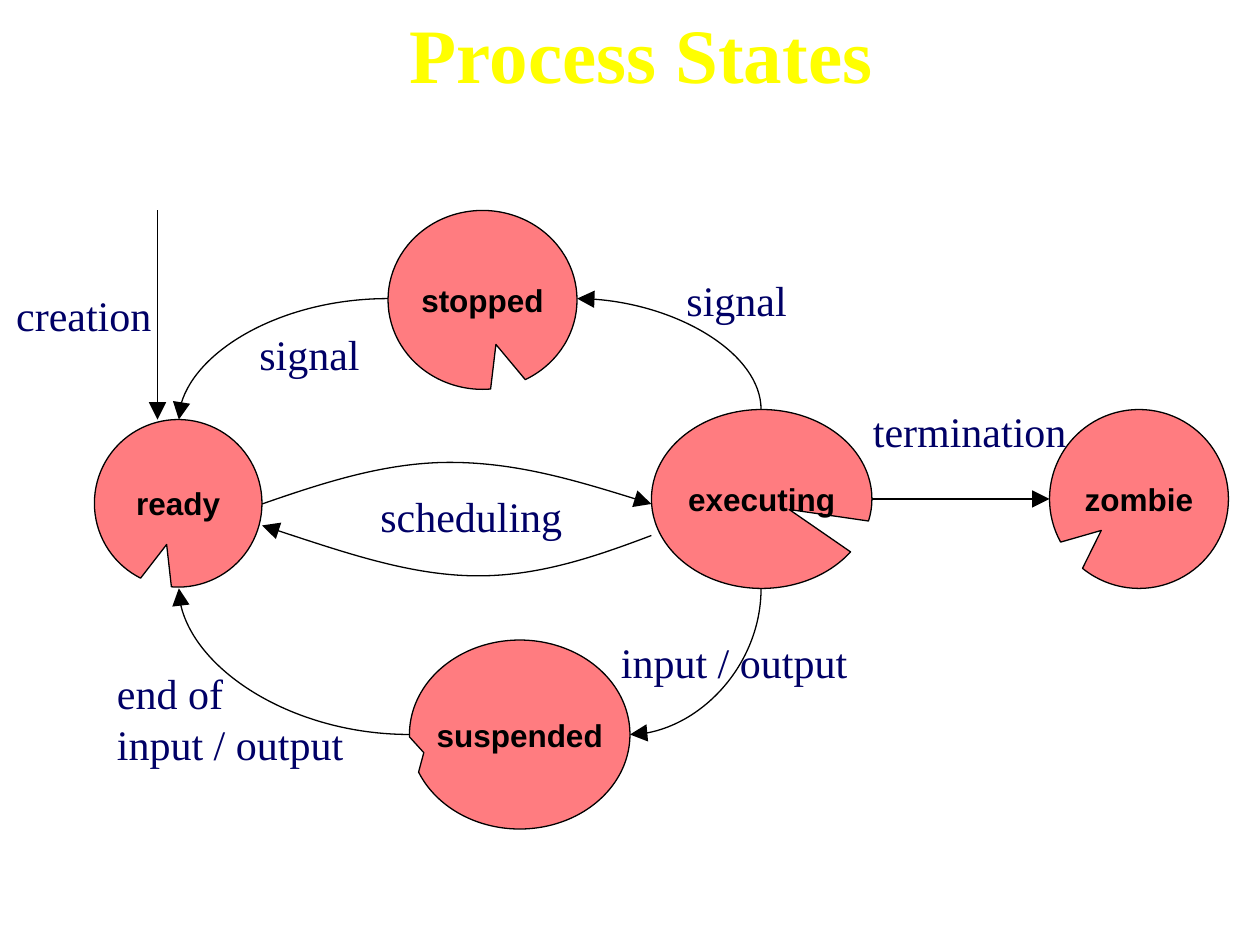
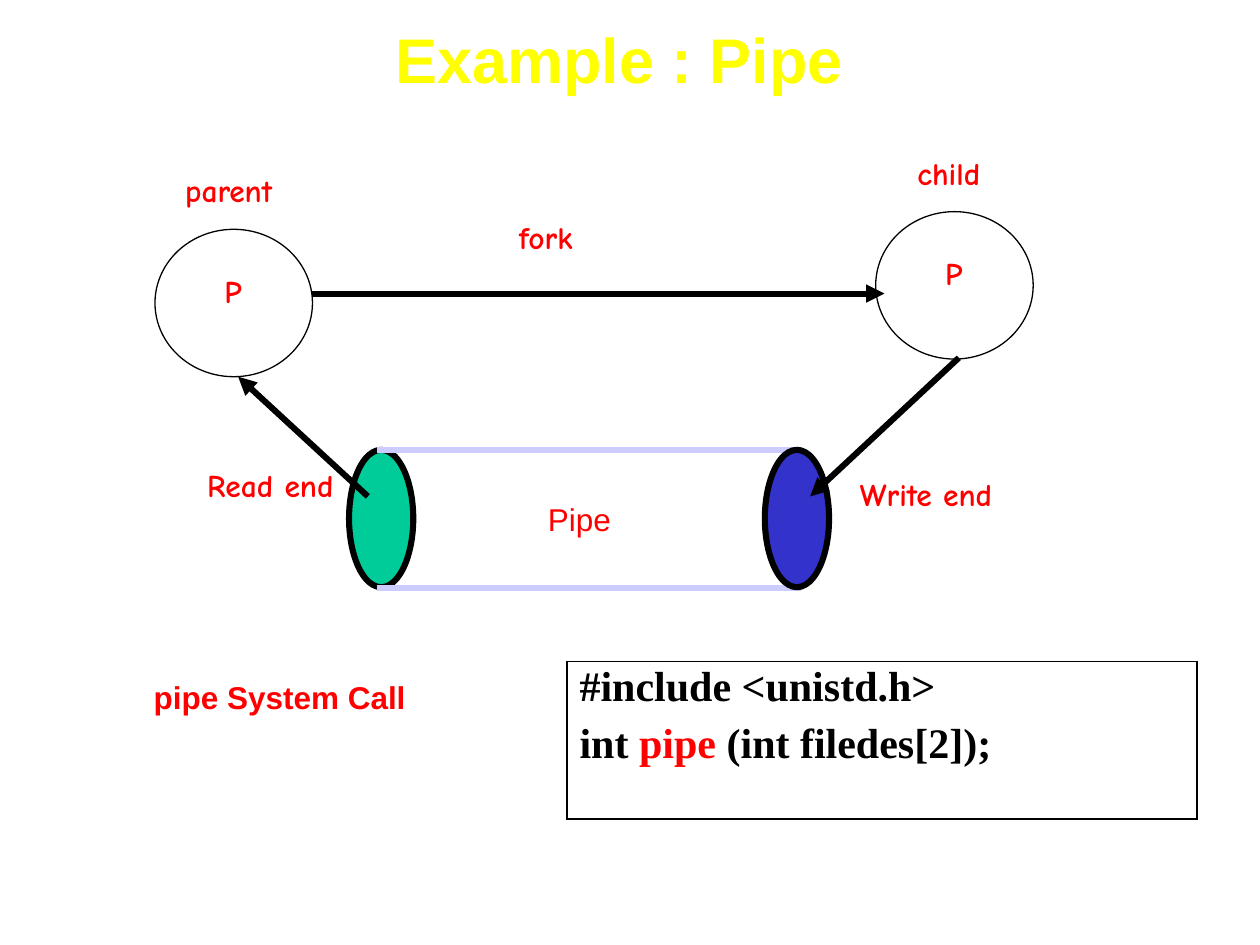
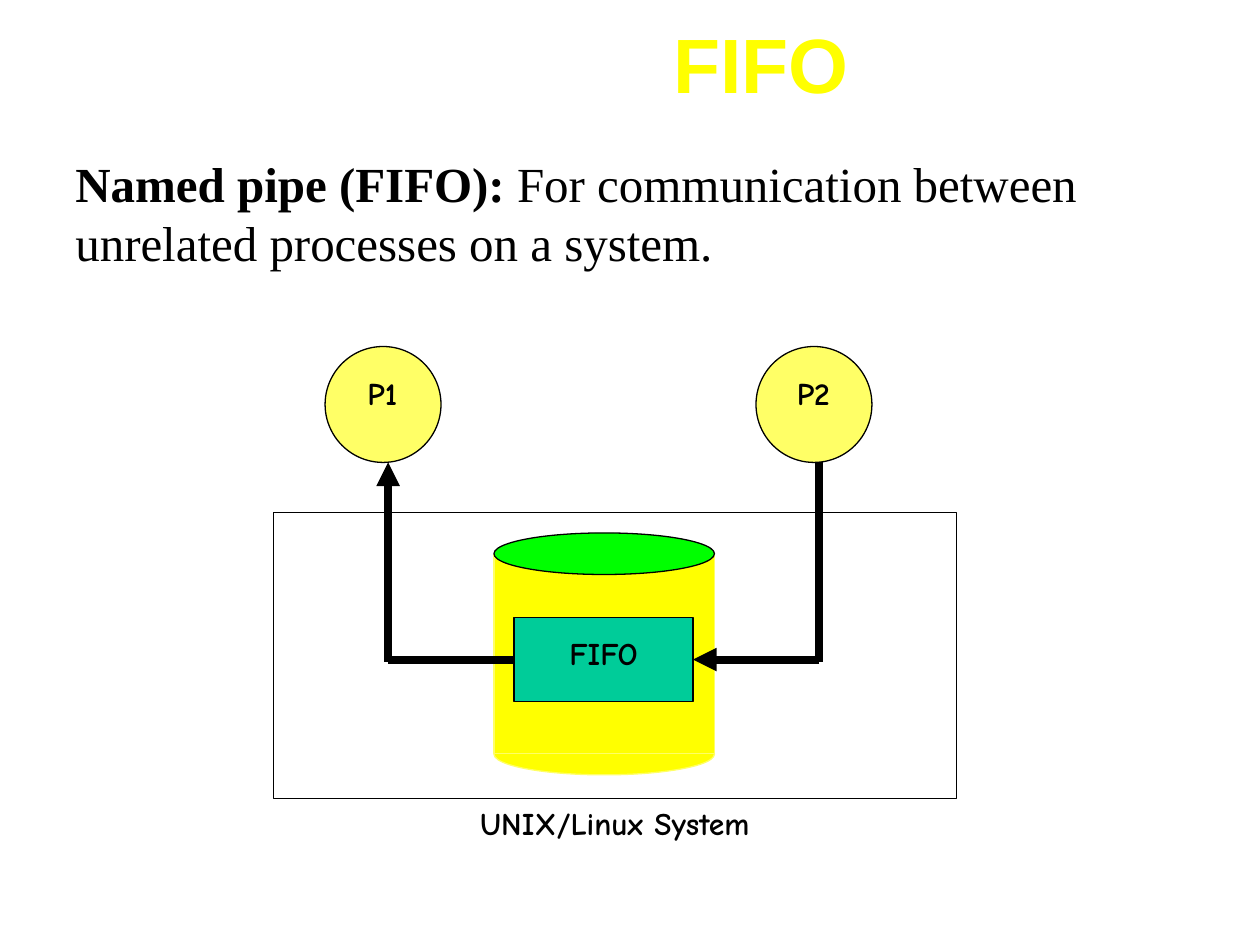
from lxml.etree import SubElement
from pptx import Presentation
from pptx.dml.color import RGBColor
from pptx.enum.shapes import MSO_CONNECTOR, MSO_SHAPE
from pptx.enum.text import MSO_ANCHOR, MSO_AUTO_SIZE, PP_ALIGN
from pptx.oxml.ns import qn
from pptx.util import Inches, Pt

BLACK = RGBColor(0x00, 0x00, 0x00)
WHITE = RGBColor(0xFF, 0xFF, 0xFF)
YELLOW = RGBColor(0xFF, 0xFF, 0x00)
PALE_YELLOW = RGBColor(0xFF, 0xFF, 0x66)
RED = RGBColor(0xFF, 0x00, 0x00)
SALMON = RGBColor(0xFF, 0x7C, 0x80)
NAVY = RGBColor(0x00, 0x00, 0x66)
TEAL = RGBColor(0x00, 0xCC, 0x99)
BLUE = RGBColor(0x33, 0x33, 0xCC)
LAVENDER = RGBColor(0xCC, 0xCC, 0xFF)
GREEN = RGBColor(0x00, 0xFF, 0x00)

SANS = "Arial"
SERIF = "Times New Roman"
COMIC = "Comic Neue"


def write_text(frame, content, font=SANS, size=18, color=BLACK, bold=False,
               align=PP_ALIGN.LEFT, line_spacing=None, gap=0):
    if isinstance(content, str):
        content = [[(line, {})] for line in content.split("\n")]
    for index, runs in enumerate(content):
        paragraph = frame.add_paragraph() if index else frame.paragraphs[0]
        paragraph.alignment = align
        if line_spacing:
            paragraph.line_spacing = line_spacing
        if index and gap:
            paragraph.space_before = Pt(gap)
        for words, changes in runs:
            run = paragraph.add_run()
            run.text = words
            run.font.name = font
            run.font.size = Pt(size)
            run.font.bold = changes.get("bold", bold)
            run.font.color.rgb = changes.get("color", color)


class Deck:
    def __init__(self):
        self.presentation = Presentation()
        self.presentation.slide_width = Inches(10)
        self.presentation.slide_height = Inches(7.5)
        self.slide = None

    def new_slide(self):
        self.slide = self.presentation.slides.add_slide(self.presentation.slide_layouts[6])

    def text(self, left, top, width, height, content, wrap=True, grow=True,
             anchor=MSO_ANCHOR.TOP, **style):
        box = self.slide.shapes.add_textbox(
            Inches(left), Inches(top), Inches(width), Inches(height))
        frame = box.text_frame
        frame.word_wrap = wrap
        frame.auto_size = MSO_AUTO_SIZE.SHAPE_TO_FIT_TEXT if grow else MSO_AUTO_SIZE.NONE
        frame.vertical_anchor = anchor
        write_text(frame, content, **style)

    def title(self, left, top, width, height, words, **style):
        self.text(left, top, width, height, words, grow=False, color=YELLOW,
                  bold=True, align=PP_ALIGN.CENTER, **style)

    def event(self, left, top, width, words, height=0.5):
        self.text(left, top, width, height, words, font=SERIF, size=24, color=NAVY)

    def caption(self, left, top, width, words, color=RED, align=PP_ALIGN.CENTER):
        self.text(left, top, width, 0.4, words, font=COMIC, color=color,
                  bold=True, align=align)

    def shape(self, kind, left, top, width, height, fill, line=BLACK, weight=0.75):
        shape = self.slide.shapes.add_shape(
            kind, Inches(left), Inches(top), Inches(width), Inches(height))
        shape.shadow.inherit = False
        shape.fill.solid()
        shape.fill.fore_color.rgb = fill
        shape.line.color.rgb = line
        shape.line.width = Pt(weight)
        return shape

    def state(self, left, top, width, height, words, notch):
        state = self.shape(MSO_SHAPE.OVAL_CALLOUT, left, top, width, height, SALMON)
        state.adjustments[0], state.adjustments[1] = notch
        state.text_frame.word_wrap = False
        state.text_frame.vertical_anchor = MSO_ANCHOR.MIDDLE
        write_text(state.text_frame, words, bold=True, align=PP_ALIGN.CENTER)

    def stroke(self, link, color, weight, arrow):
        link.line.color.rgb = color
        link.line.width = Pt(weight)
        if arrow:
            size = "lg" if weight < 1 else "med"
            SubElement(link.line._get_or_add_ln(), qn("a:tailEnd"),
                       type="triangle", w=size, len=size)

    def line(self, start, end, color=BLACK, weight=0.75, arrow=True,
             kind=MSO_CONNECTOR.STRAIGHT):
        link = self.slide.shapes.add_connector(kind, *map(Inches, start + end))
        self.stroke(link, color, weight, arrow)
        SubElement(link._element.spPr, qn("a:effectLst"))
        return link

    def quarter_curve(self, start, end, leaves_vertically=False):
        link = self.line(start, end, kind=MSO_CONNECTOR.CURVE)
        properties = link._element.spPr
        properties.find(qn("a:prstGeom")).set("prst", "curvedConnector2")
        if leaves_vertically:
            (x1, y1), (x2, y2) = start, end
            width, height = abs(y2 - y1), abs(x2 - x1)
            link.left = Inches((x1 + x2 - width) / 2)
            link.top = Inches((y1 + y2 - height) / 2)
            link.width, link.height = Inches(width), Inches(height)
            downward = y2 > y1
            frame = properties.find(qn("a:xfrm"))
            frame.set("rot", str((90 if downward else 270) * 60000))
            frame.set("flipH", "0")
            frame.set("flipV", "1" if downward == (x2 > x1) else "0")

    def free_curve(self, start, *points):
        builder = self.slide.shapes.build_freeform(*map(Inches, start))
        builder.add_line_segments(
            [(Inches(x), Inches(y)) for x, y in points], close=False)
        curve = builder.convert_to_shape()
        curve.shadow.inherit = False
        curve.fill.background()
        self.stroke(curve, BLACK, 0.75, True)
        outline = curve._element.spPr.find(".//" + qn("a:path"))
        segments = outline.findall(qn("a:lnTo"))
        for first in range(0, len(segments), 3):
            bezier = SubElement(outline, qn("a:cubicBezTo"))
            for segment in segments[first:first + 3]:
                bezier.append(segment[0])
                outline.remove(segment)

    def code_table(self, left, top, width, height, content):
        table = self.slide.shapes.add_table(
            1, 1, Inches(left), Inches(top), Inches(width), Inches(height)).table
        table.first_row = table.horz_banding = False
        cell = table.cell(0, 0)
        write_text(cell.text_frame, content, font=SERIF, size=24, bold=True,
                   line_spacing=0.9, gap=9)
        properties = cell._tc.get_or_add_tcPr()
        for side in ("a:lnL", "a:lnR", "a:lnT", "a:lnB"):
            border = SubElement(properties, qn(side), w=str(Pt(1.08)))
            fill = SubElement(border, qn("a:solidFill"))
            SubElement(fill, qn("a:srgbClr"), val=str(BLACK))
        cell.fill.background()


def process_states(deck):
    deck.new_slide()
    for state in (
        (0.75, 3.33, 1.33, 1.33, "ready", (-0.069, 0.246)),
        (3.08, 1.67, 1.5, 1.42, "stopped", (0.071, 0.249)),
        (3.25, 5.08, 1.75, 1.5, "suspended", (-0.435, 0.096)),
        (5.17, 3.25, 1.75, 1.42, "executing", (0.125, 0.059)),
        (8.33, 3.25, 1.42, 1.42, "zombie", (-0.211, 0.176)),
    ):
        deck.state(*state)
    deck.line((1.25, 1.67), (1.25, 3.33))
    deck.quarter_curve((3.08, 2.37), (1.42, 3.33))
    deck.quarter_curve((3.25, 5.83), (1.42, 4.67))
    deck.free_curve((2.08, 4), (2.57, 3.83), (3.06, 3.67), (3.57, 3.67),
                    (4.09, 3.67), (4.63, 3.83), (5.17, 4))
    deck.quarter_curve((6.04, 3.25), (4.58, 2.37), leaves_vertically=True)
    deck.quarter_curve((6.04, 4.67), (5, 5.83), leaves_vertically=True)
    deck.line((6.92, 3.96), (8.33, 3.96))
    deck.free_curve((5.17, 4.25), (4.72, 4.42), (4.26, 4.58), (3.75, 4.57),
                    (3.24, 4.56), (2.66, 4.36), (2.08, 4.17))
    for event in (
        (0.03, 2.25, 1.32, "creation"),
        (1.96, 2.56, 1.04, "signal"),
        (5.35, 2.13, 1.04, "signal"),
        (2.92, 3.84, 1.69, "scheduling"),
        (4.83, 5, 2.04, "input / output"),
        (0.83, 5.25, 2.04, "end of\ninput / output", 0.9),
        (6.83, 3.17, 1.78, "termination"),
    ):
        deck.event(*event)
    deck.title(0.59, 0, 9, 1.25, "Process States", font=SERIF, size=44)


def pipe_example(deck):
    deck.new_slide()
    deck.title(0.5, 0.17, 8.83, 0.58, "Example : Pipe", size=36, anchor=MSO_ANCHOR.MIDDLE)
    for left, top in ((1.23, 1.82), (6.95, 1.68)):
        deck.shape(MSO_SHAPE.OVAL, left, top, 1.25, 1.17, WHITE)
        deck.caption(left + 0.07, top + 0.29, 1.1, "P")
    deck.line((2.48, 2.33), (7.02, 2.33), weight=3.5)
    deck.caption(4.02, 1.68, 1.32, "fork", align=PP_ALIGN.LEFT)
    deck.caption(1.08, 1.31, 1.47, "parent")
    deck.caption(6.87, 1.17, 1.32, "child")
    deck.shape(MSO_SHAPE.OVAL, 2.77, 3.57, 0.51, 1.09, TEAL, weight=3.5)
    for right, y in ((6.29, 3.57), (6.36, 4.67)):
        deck.line((2.99, y), (right, y), color=LAVENDER, weight=3.5, arrow=False)
    deck.shape(MSO_SHAPE.OVAL, 6.07, 3.57, 0.51, 1.09, BLUE, weight=3.5)
    deck.line((7.61, 2.84), (6.43, 3.94), weight=3.5)
    deck.line((2.92, 3.94), (1.89, 2.99), weight=3.5)
    deck.caption(6.58, 3.72, 1.54, "Write end")
    deck.caption(1.52, 3.65, 1.25, "Read end")
    deck.text(4.25, 3.92, 1.25, 0.4, "Pipe", color=RED)
    deck.code_table(4.5, 5.25, 5, 1.25, [
        [("#include <unistd.h>", {})],
        [("int ", {}), ("pipe", {"color": RED}), (" (int filedes[2]);", {})],
    ])
    deck.text(1.12, 5.33, 2.2, 0.4, "pipe System Call", wrap=False,
              color=RED, bold=True, align=PP_ALIGN.CENTER)


def fifo(deck):
    deck.new_slide()
    deck.title(2.58, 0.25, 6.92, 0.5, "FIFO", size=44, anchor=MSO_ANCHOR.MIDDLE)
    deck.text(0.5, 1.17, 9.5, 2.08, [[
        ("Named pipe (FIFO): ", {"bold": True}),
        ("For communication between unrelated processes on a system.", {}),
    ]], grow=False, font=SERIF, size=28)
    for left, process in ((2.58, "P1"), (6, "P2")):
        deck.shape(MSO_SHAPE.OVAL, left, 2.75, 0.92, 0.92, PALE_YELLOW)
        deck.caption(left + 0.08, 2.92, 0.75, process, color=BLACK)
    deck.shape(MSO_SHAPE.RECTANGLE, 2.17, 4.07, 5.42, 2.27, WHITE)
    deck.caption(2.17, 6.33, 5.42, "UNIX/Linux System", color=BLACK)
    deck.line((6.5, 3.67), (6.5, 5.25), weight=4.5, arrow=False)
    deck.line((3.08, 5.25), (3.08, 3.67), weight=4.5)
    deck.shape(MSO_SHAPE.OVAL, 3.92, 5.82, 1.75, 0.33, YELLOW, PALE_YELLOW)
    deck.shape(MSO_SHAPE.RECTANGLE, 3.92, 4.4, 1.75, 1.58, YELLOW, PALE_YELLOW)
    deck.shape(MSO_SHAPE.OVAL, 3.92, 4.23, 1.75, 0.33, GREEN)
    queue_top, queue_height = 4.9, 0.67
    queue_middle = queue_top + queue_height / 2
    queue = deck.shape(MSO_SHAPE.RECTANGLE, 4.08, queue_top, 1.42, queue_height, TEAL)
    deck.caption(4.08, 4.98, 1.42, "FIFO", color=BLACK)
    write_link = deck.line((6.5, queue_middle), (5.5, queue_middle), weight=4.5)
    write_link.end_connect(queue, 3)
    read_link = deck.line((3.08, queue_middle), (4.08, queue_middle),
                          weight=4.5, arrow=False)
    read_link.end_connect(queue, 1)


def main():
    deck = Deck()
    process_states(deck)
    pipe_example(deck)
    fifo(deck)
    deck.presentation.save("out.pptx")


if __name__ == "__main__":
    main()
